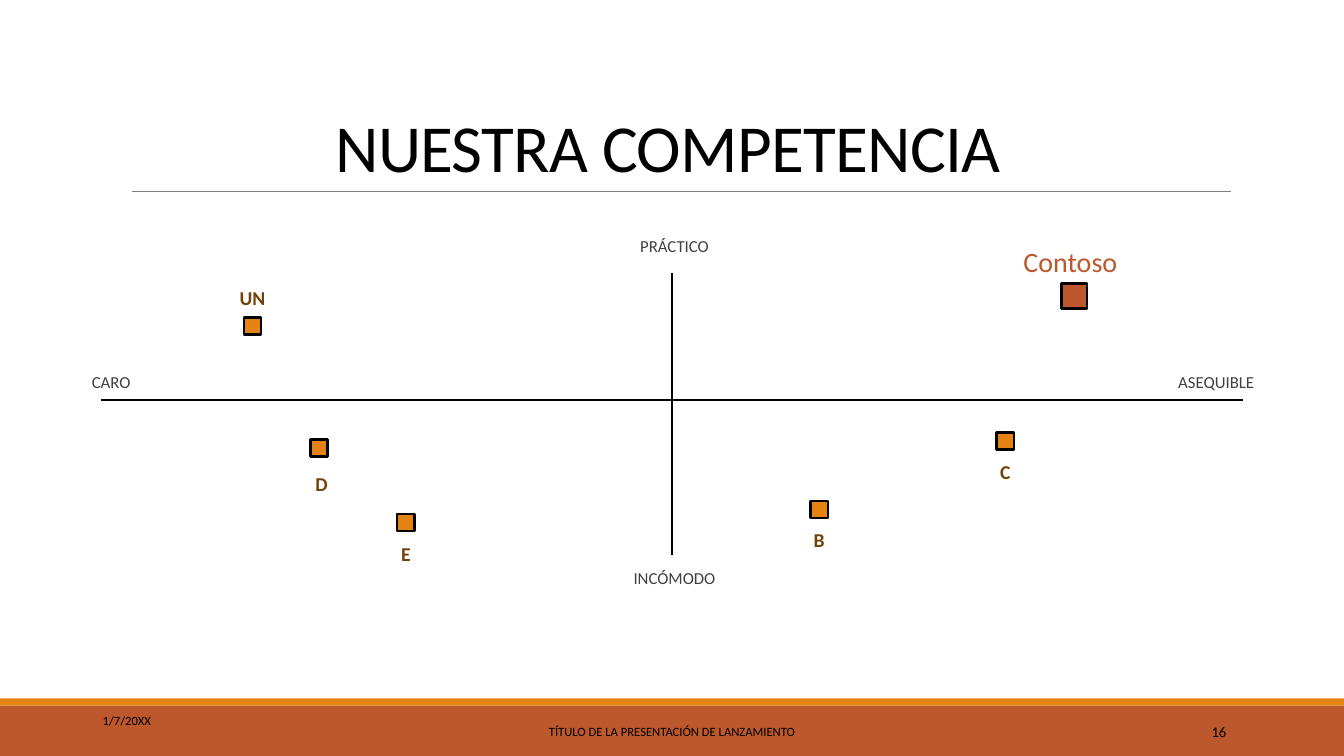
from dataclasses import dataclass

from lxml import etree
from pptx import Presentation
from pptx import util as u
from pptx.dml.color import RGBColor
from pptx.enum import shapes, text
from pptx.oxml.ns import qn

LEFT, CENTER, RIGHT = text.PP_ALIGN.LEFT, text.PP_ALIGN.CENTER, text.PP_ALIGN.RIGHT
TOP, MIDDLE, BOTTOM = text.MSO_ANCHOR.TOP, text.MSO_ANCHOR.MIDDLE, text.MSO_ANCHOR.BOTTOM


@dataclass(frozen=True)
class Theme:
    """Colours, font and type sizes of the deck."""
    font: str = "Calibri"
    black: str = "000000"
    gray: str = "404040"
    rule: str = "808080"
    rust: str = "BD582C"
    orange: str = "E48312"
    brown: str = "724209"
    title: float = 48
    brand: float = 20
    rival: float = 14
    axis: float = 12
    number: float = 10.5
    footer: float = 9


THEME = Theme()


@dataclass(frozen=True)
class Box:
    """A rectangle in inches whose areas are percentages of its size."""
    left: float
    top: float
    width: float
    height: float

    def area(self, x, y, width, height):
        """Return the box at the given percentages."""
        return Box(self.left + self.width * x / 100, self.top + self.height * y / 100,
                   self.width * width / 100, self.height * height / 100)

    def around(self, x, y, width, height):
        """Return a box of the given inches centred on a percentage point."""
        spot = self.area(x, y, 0, 0)
        return Box(spot.left - width / 2, spot.top - height / 2, width, height)

    def emu(self):
        """Return the four lengths for python-pptx."""
        return [u.Inches(n) for n in (self.left, self.top, self.width, self.height)]


def add_words(page, box, words, size, color, align=CENTER, anchor=MIDDLE,
              bold=False, side=0.1, spacing=None):
    """Add one line of text and return its shape."""
    label = page.shapes.add_textbox(*box.emu())
    frame = label.text_frame
    frame.word_wrap = True
    frame.vertical_anchor = anchor
    frame.margin_left = frame.margin_right = u.Inches(side)
    para = frame.paragraphs[0]
    para.text = words
    para.alignment = align
    para.line_spacing = spacing
    para.font.name = THEME.font
    para.font.size = u.Pt(size)
    para.font.bold = bold
    para.font.color.rgb = RGBColor.from_string(color)
    return label


def add_block(page, box, fill, outline=None):
    """Add a plain rectangle with an optional black outline."""
    block = page.shapes.add_shape(shapes.MSO_SHAPE.RECTANGLE, *box.emu())
    block.shadow.inherit = False
    block.fill.solid()
    block.fill.fore_color.rgb = RGBColor.from_string(fill)
    if outline:
        block.line.color.rgb = RGBColor.from_string(THEME.black)
        block.line.width = u.Pt(outline)
    else:
        block.line.fill.background()


def add_rule(page, box, color, weight):
    """Add a straight line from the first to the last corner of a box."""
    left, top, width, height = box.emu()
    rule = page.shapes.add_connector(shapes.MSO_CONNECTOR.STRAIGHT,
                                     left, top, left + width, top + height)
    rule.line.color.rgb = RGBColor.from_string(color)
    rule.line.width = u.Pt(weight)
    etree.SubElement(rule._element.spPr, qn("a:effectLst"))


def draw_footer(page, box):
    """Draw the two bands with date, deck title and page number."""
    add_block(page, box.area(0, 12.28, 100, 87.72), THEME.rust)
    add_block(page, box.area(0, 0, 100, 12.28), THEME.orange)
    for words, x, y, width, size, align in (
            ("TÍTULO DE LA PRESENTACIÓN DE LANZAMIENTO", 30.23, 22.81, 39.53,
             THEME.footer, CENTER),
            ("16", 81.25, 22.81, 10.73, THEME.number, RIGHT),
            ("1/7/20XX", 6.9, 3.51, 22.51, THEME.footer, LEFT)):
        add_words(page, box.area(x, y, width, 70.18), words, size, THEME.black, align)


def draw_header(page, box):
    """Draw the slide title above its rule."""
    add_rule(page, box.area(1, 100, 99.1, 0), THEME.rule, 0.5)
    title = add_words(page, box, "NUESTRA COMPETENCIA", THEME.title, THEME.black,
                      anchor=BOTTOM, spacing=0.85)
    title.text_frame.margin_right = u.Inches(0.25)
    for span in title.text_frame.paragraphs[0].runs:
        span._r.get_or_add_rPr().set("spc", "-50")


def draw_axes(page, box):
    """Draw the crossing axes and the words at their ends."""
    add_rule(page, box.area(0, 45, 100, 0), THEME.black, 1.78)
    add_rule(page, box.area(50, 0, 0, 100), THEME.black, 1.78)
    for words, x, y, align in (("PRÁCTICO", 40.51, -14.29, CENTER),
                               ("INCÓMODO", 40.51, 103.57, CENTER),
                               ("CARO", -0.79, 33.93, LEFT),
                               ("ASEQUIBLE", 81.55, 33.93, RIGHT)):
        add_words(page, box.area(x, y, 19.42, 10.71), words, THEME.axis, THEME.gray,
                  align, TOP, side=0, spacing=0.9)


def draw_companies(page, box):
    """Place each company's square on the map with its name above or below."""
    for name, x, y, shift, gap in (("UN", 13.28, 18.75, 0, -9.82),
                                   ("D", 19.11, 61.96, 0.22, 12.68),
                                   ("E", 26.7, 88.39, 0, 11.25),
                                   ("B", 62.89, 83.75, 0, 10.89),
                                   ("C", 79.17, 59.46, 0, 10.89)):
        add_block(page, box.around(x, y, 0.17, 0.17), THEME.orange, 1.75)
        add_words(page, box.around(x + shift, y + gap, 2.3, 0.34), name,
                  THEME.rival, THEME.brown, anchor=TOP, bold=True)
    add_block(page, box.around(85.22, 8.04, 0.25, 0.25), THEME.rust, 1.75)
    add_words(page, box.around(84.87, -3.92, 1.65, 0.44), "Contoso",
              THEME.brand, THEME.rust, anchor=TOP)


def main():
    """Build the competition slide and save the deck."""
    deck = Presentation()
    deck.slide_width, deck.slide_height = u.Inches(13.33), u.Inches(7.5)
    page = deck.slides.add_slide(deck.slide_layouts[6])
    position_map = Box(1, 2.71, 11.33, 2.8)
    draw_footer(page, Box(0, 6.93, 13.33, 0.57))
    draw_header(page, Box(1.2, 0.31, 11, 1.59))
    draw_axes(page, position_map)
    draw_companies(page, position_map)
    deck.save("out.pptx")


if __name__ == "__main__":
    main()
